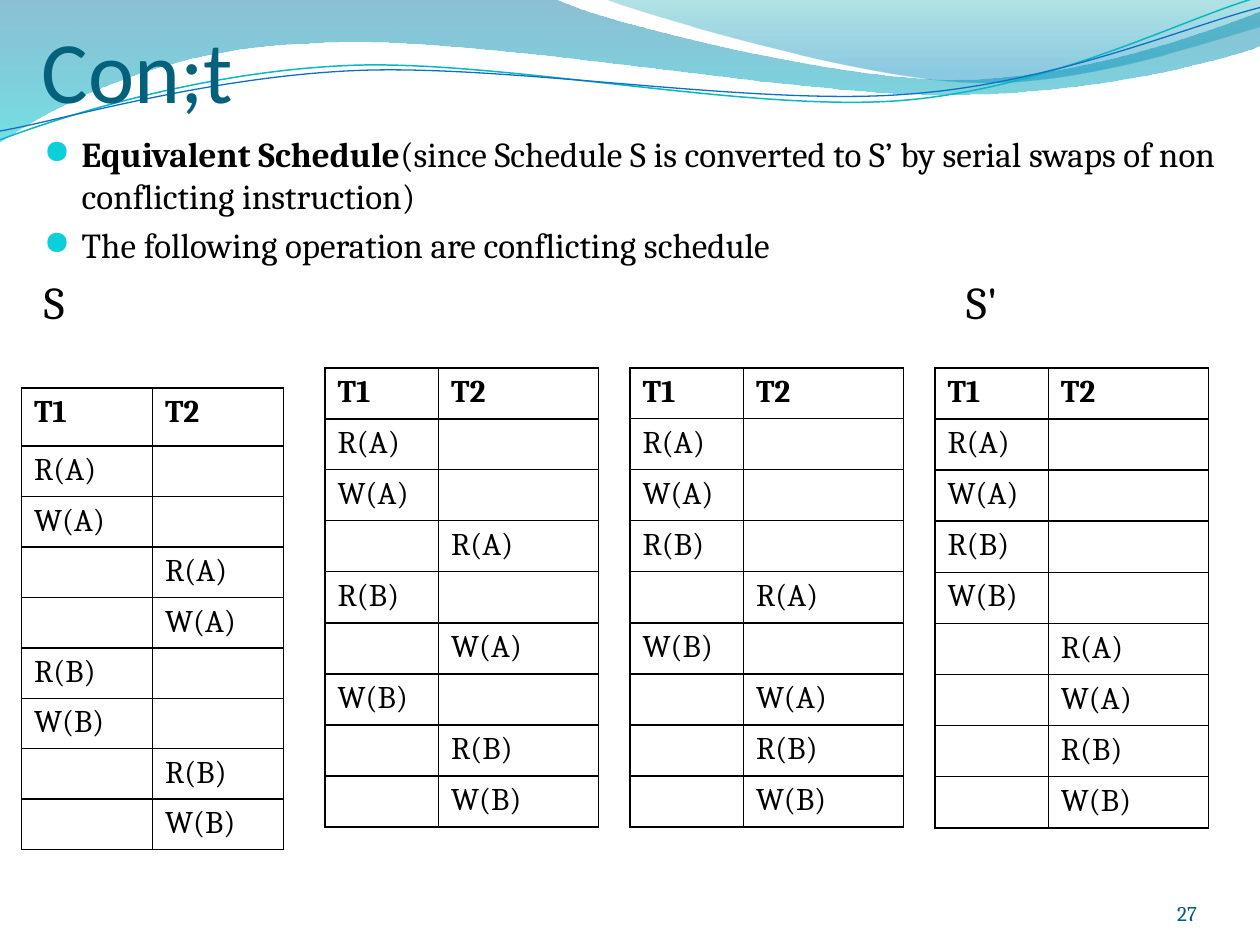
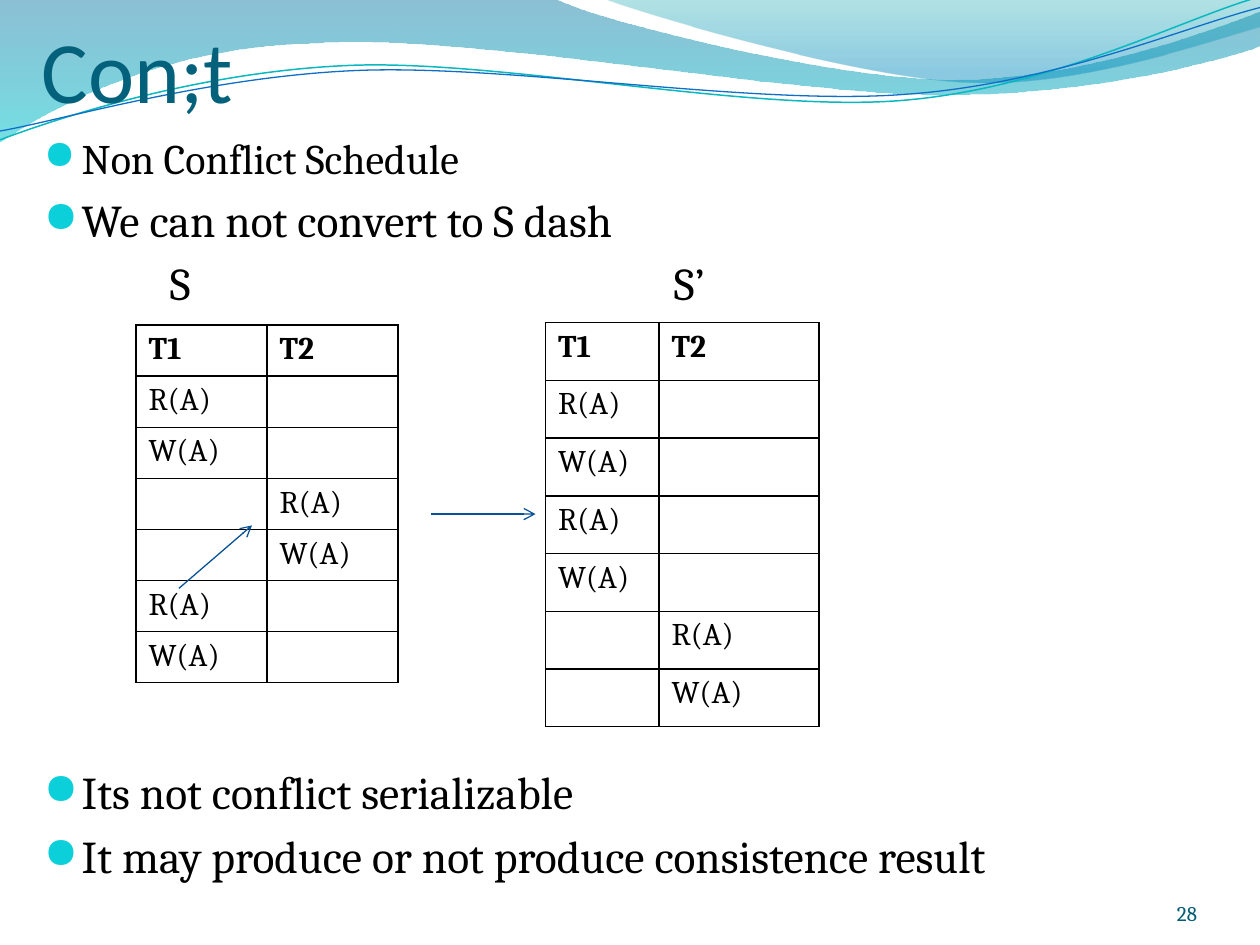
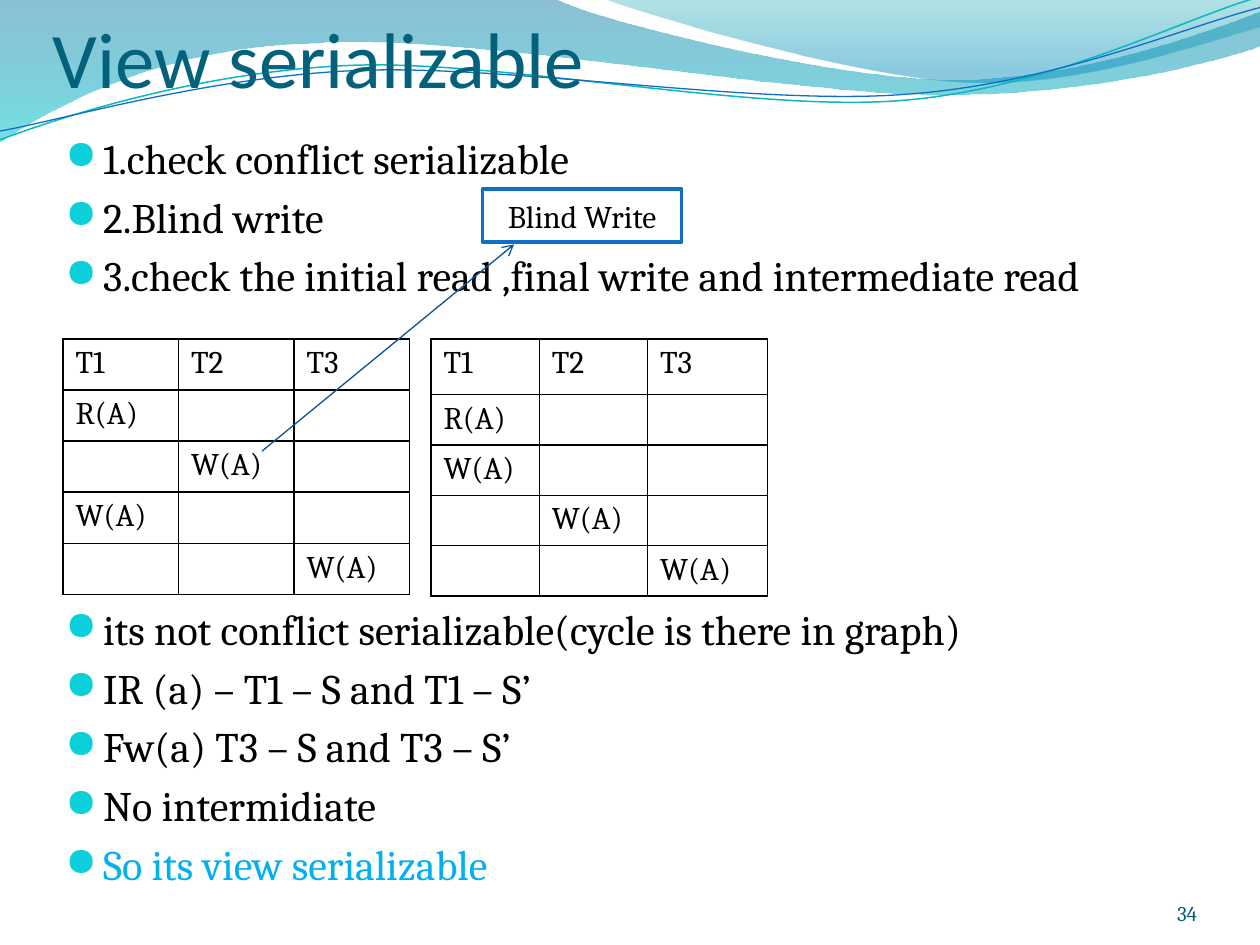
import pptx
import pptx.dml.color
import pptx.enum.shapes
import pptx.enum.text
import pptx.oxml
import pptx.oxml.ns
import pptx.util

Inches = pptx.util.Inches
Pt = pptx.util.Pt
qn = pptx.oxml.ns.qn
ALIGN = pptx.enum.text.PP_ALIGN
ANCHOR = pptx.enum.text.MSO_ANCHOR

# Wave outlines: a start point, then curves (three points) or straight lines (one point)
LEFT_BAND = [[(0, 0)], [(4.4, -0.01)],
             [(4.76, 0.17), (6.64, 0.63), (7.58, 0.63)],
             [(8.53, 0.63), (9.58, 0.26), (10, 0.09)],
             [(10.01, 0.36)],
             [(9.83, 0.44), (8.7, 0.76), (7.46, 0.75)],
             [(6.22, 0.75), (3.82, 0.28), (2.57, 0.34)],
             [(1.29, 0.36), (0.46, 0.83), (-0.01, 1.13)],
             [(0, 0)]]
RIGHT_BAND = [[(4.79, -0.01)],
              [(5.09, 0.11), (6.82, 0.62), (7.69, 0.65)],
              [(8.56, 0.69), (9.61, 0.32), (10, 0.21)],
              [(10, 0)], [(4.79, -0.01)]]
TEAL_WAVE = [[(0, 1.11)],
             [(0.48, 0.93), (1.58, 0.57), (2.77, 0.52)],
             [(3.95, 0.47), (5.93, 0.89), (7.13, 0.8)],
             [(8.33, 0.71), (9.38, 0.15), (9.98, -0.02)]]
BLUE_WAVE = [[(0, 1.04)],
             [(0.47, 0.96), (1.64, 0.61), (2.83, 0.56)],
             [(4.03, 0.51), (5.97, 0.84), (7.17, 0.75)],
             [(8.36, 0.67), (9.41, 0.21), (10, 0.06)]]


def rgb(color):
    return pptx.dml.color.RGBColor.from_string(color)


def add_xml(parent, tag, **attrs):
    child = parent.makeelement(qn(tag), attrs)
    parent.append(child)
    return child


class Deck:
    HEAD_FONT, BODY_FONT, BULLET_FONT = "Calibri", "Cambria", "OpenSymbol"
    TITLE, INK, NUMBER = "04617B", "000000", "045D75"
    BULLET, ACCENT, ARROW = "0BD0D9", "0F6FC6", "095295"

    def __init__(self):
        self.prs = pptx.Presentation()
        self.prs.slide_width = Inches(10)
        self.prs.slide_height = Inches(7.5)
        self.s = None

    def slide(self, title, number, title_at=(0.33, 0.04, 9, 0.92), title_size=50):
        self.s = self.prs.slides.add_slide(self.prs.slide_layouts[6])
        # Waves behind everything
        self.band(LEFT_BAND, (0, "0074A1", 45), (1, "00C6CF", 55))
        self.band(RIGHT_BAND, (0, "00A1A9", 30), (0.8, "008BBF", 45))
        self.wave(TEAL_WAVE, "0AB8BF", 0.85)
        self.wave(BLUE_WAVE, self.ACCENT, 0.75)
        # Title and slide number
        self.label(title, title_at, title_size, self.TITLE, self.HEAD_FONT, top=0.05)
        self.label(str(number), (8.67, 6.95, 0.83, 0.4), 12, self.NUMBER,
                   self.BODY_FONT, ALIGN.RIGHT)

    def outline(self, parts, close):
        points = [(Inches(x), Inches(y)) for part in parts for x, y in part]
        builder = self.s.shapes.build_freeform(*points[0])
        builder.add_line_segments(points[1:], close=close)
        sp = builder.convert_to_shape()
        sp.shadow.inherit = False
        # Join the segments of each three-point part into one curve
        segments = iter(list(sp.element.iter(qn("a:lnTo"))))
        for part in parts[1:]:
            group = [next(segments) for _ in part]
            if len(group) == 3:
                curve = group[0].makeelement(qn("a:cubicBezTo"), {})
                group[0].addprevious(curve)
                for segment in group:
                    curve.append(segment[0])
                    segment.getparent().remove(segment)
        return sp

    def band(self, parts, *stops):
        sp = self.outline(parts, True)
        sp.line.fill.background()
        sp.fill.gradient()
        sp.fill.gradient_angle = 270
        for stop, (position, color, _) in zip(sp.fill.gradient_stops, stops):
            stop.position = position
            stop.color.rgb = rgb(color)
        for clr, (_, _, alpha) in zip(sp.element.iter(qn("a:srgbClr")), stops):
            add_xml(clr, "a:alpha", val=str(alpha * 1000))

    def wave(self, parts, color, width):
        sp = self.outline(parts, False)
        sp.fill.background()
        sp.line.color.rgb = rgb(color)
        sp.line.width = Pt(width)

    def format(self, r, size, color=INK, font=BODY_FONT, bold=False):
        r.font.size = Pt(size)
        r.font.name = font
        r.font.bold = bold
        r.font.color.rgb = rgb(color)

    def text_frame(self, at):
        tf = self.s.shapes.add_textbox(*map(Inches, at)).text_frame
        tf.word_wrap = True
        return tf

    def label(self, text, at, size, color, font, align=ALIGN.LEFT, top=0):
        tf = self.text_frame(at)
        tf.margin_left = tf.margin_right = tf.margin_bottom = 0
        tf.margin_top = Inches(top)
        tf.vertical_anchor = ANCHOR.BOTTOM
        tf.text = text
        p = tf.paragraphs[0]
        p.alignment = align
        self.format(p.runs[0], size, color, font)

    def body(self, at, items):
        """Each item: text, size, and optional lead (bold), color, gap, tabs."""
        tf = self.text_frame(at)
        for i, (text, size, *options) in enumerate(items):
            p = tf.add_paragraph() if i else tf.paragraphs[0]
            self.paragraph(p, text, size, **(options[0] if options else {}))

    def paragraph(self, p, text, size, lead="", color=INK, gap=None, tabs=()):
        p.text = lead or text
        if lead:
            p.add_run().text = text
        for r in p.runs:
            self.format(r, size, color)
        p.runs[0].font.bold = bool(lead)
        p.space_before = Pt(gap or round(size * 0.2, 1))
        pPr = p._p.get_or_add_pPr()
        if tabs:
            tab_list = add_xml(pPr, "a:tabLst")
            for tab in tabs:
                add_xml(tab_list, "a:tab", pos=str(Inches(tab)), algn="l")
            return
        pPr.set("marL", str(Inches(0.3)))
        pPr.set("indent", str(Inches(-0.3)))
        add_xml(add_xml(pPr, "a:buClr"), "a:srgbClr", val=self.BULLET)
        add_xml(pPr, "a:buSzPct", val="95000")
        add_xml(pPr, "a:buFont", typeface=self.BULLET_FONT)
        add_xml(pPr, "a:buChar", char="●")

    def schedule(self, left, top, widths, heights, steps, bold=True):
        """Steps such as "2:W(A)" take one row each; the last height repeats."""
        steps = [step.split(":") for step in steps.split()]
        rows = len(steps) + 1
        heights = list(heights) + [heights[-1]] * (rows - len(heights))
        tbl = self.s.shapes.add_table(
            rows, len(widths), Inches(left), Inches(top),
            Inches(sum(widths)), Inches(sum(heights))).table
        tbl.first_row = tbl.horz_banding = False
        for column, width in zip(tbl.columns, widths):
            column.width = Inches(width)
        for row, height in zip(tbl.rows, heights):
            row.height = Inches(height)
        for cell in tbl.iter_cells():
            self.borders(cell)
        for i in range(len(widths)):
            self.fill_cell(tbl.cell(0, i), f"T{i + 1}", bold)
        for i, (transaction, operation) in enumerate(steps, 1):
            self.fill_cell(tbl.cell(i, int(transaction) - 1), operation)

    def fill_cell(self, cell, text, bold=False):
        cell.text = text
        self.format(cell.text_frame.paragraphs[0].runs[0], 18, bold=bold)

    def borders(self, cell):
        tcPr = cell._tc.get_or_add_tcPr()
        for side in ("a:lnL", "a:lnR", "a:lnT", "a:lnB"):
            ln = add_xml(tcPr, side, w=str(Pt(1)))
            add_xml(add_xml(ln, "a:solidFill"), "a:srgbClr", val=self.INK)
        cell.fill.background()

    def arrow(self, x1, y1, x2, y2):
        line = self.s.shapes.add_connector(
            pptx.enum.shapes.MSO_CONNECTOR.STRAIGHT, *map(Inches, (x1, y1, x2, y2)))
        line.line.color.rgb = rgb(self.ARROW)
        line.line.width = Pt(0.75)
        add_xml(line.line._get_or_add_ln(), "a:tailEnd", type="arrow")
        add_xml(line.element.spPr, "a:effectLst")

    def box(self, text, at):
        sp = self.s.shapes.add_shape(
            pptx.enum.shapes.MSO_SHAPE.RECTANGLE, *map(Inches, at))
        sp.shadow.inherit = False
        sp.fill.solid()
        sp.fill.fore_color.rgb = rgb("FFFFFF")
        sp.line.color.rgb = rgb(self.ACCENT)
        sp.line.width = Pt(2)
        tf = sp.text_frame
        tf.text = text
        tf.vertical_anchor = ANCHOR.MIDDLE
        p = tf.paragraphs[0]
        p.alignment = ALIGN.CENTER
        self.format(p.runs[0], 18)


def main():
    deck = Deck()
    even, uneven = (1.04, 1.04), (0.9, 1.27)
    row = 3.65 / 9
    body_at = (0.25, 1, 9.75, 5.83)

    # Equivalent schedules: S turned into S' by swaps
    deck.slide("Con;t", 27)
    deck.body(body_at, [
        ("(since Schedule S is converted to S’ by serial swaps of non "
         "conflicting instruction)", 20, {"lead": "Equivalent Schedule"}),
        ("The following operation are conflicting schedule", 20),
        ("S\tS'", 26, {"tabs": [7.32]}),
    ])
    deck.schedule(0.17, 3.08, even, (0.46, 0.38),
                  "1:R(A) 1:W(A) 2:R(A) 2:W(A) 1:R(B) 1:W(B) 2:R(B) 2:W(B)")
    swaps = [
        ((row, 0.34, row), "1:R(A) 1:W(A) 2:R(A) 1:R(B) 2:W(A) 1:W(B) 2:R(B) 2:W(B)"),
        ((0.24, row), "1:R(A) 1:W(A) 1:R(B) 2:R(A) 1:W(B) 2:W(A) 2:R(B) 2:W(B)"),
        ((row,), "1:R(A) 1:W(A) 1:R(B) 1:W(B) 2:R(A) 2:W(A) 2:R(B) 2:W(B)"),
    ]
    for i, (heights, steps) in enumerate(swaps):
        deck.schedule(2.58 + 2.42 * i, 2.92, uneven, heights, steps)

    # A schedule that cannot be converted
    deck.slide("Con;t", 28)
    deck.body(body_at, [
        ("Non Conflict Schedule", 24),
        ("We can not convert to S dash", 26),
        ("\tS\tS’", 26, {"tabs": [1, 5]}),
        ("Its not conflict serializable", 26, {"gap": 259.5}),
        ("It may produce or not produce consistence result", 26),
    ])
    deck.schedule(1.08, 2.58, even, (row,),
                  "1:R(A) 1:W(A) 2:R(A) 2:W(A) 1:R(A) 1:W(A)")
    deck.schedule(4.33, 2.56, uneven, (3.21 / 7,),
                  "1:R(A) 1:W(A) 1:R(A) 1:W(A) 2:R(A) 2:W(A)")
    deck.arrow(1.42, 4.67, 2, 4.17)
    deck.arrow(3.42, 4.08, 4.25, 4.08)

    # View serializability with a blind write
    deck.slide("View serializable", 34, (0.42, 0.17, 9, 0.66), 45)
    size = 24.05
    deck.body((0.42, 1, 9.25, 6.33), [
        ("1.check conflict serializable", size),
        ("2.Blind write", size),
        ("3.check the initial read ,final write and intermediate read", size),
        ("its not conflict serializable(cycle is there in graph)", size, {"gap": 173}),
        ("IR (a) – T1 – S and T1 – S’", size),
        ("Fw(a) T3 – S and T3 – S’", size),
        ("No intermidiate", size),
        ("So its view serializable", size, {"color": "00B0F0"}),
    ])
    deck.schedule(0.5, 2.69, (2.75 / 3,) * 3, (row,),
                  "1:R(A) 2:W(A) 1:W(A) 3:W(A)", bold=False)
    deck.schedule(3.42, 2.69, (0.86, 0.86, 0.95), (0.44, 0.37),
                  "1:R(A) 1:W(A) 2:W(A) 3:W(A)", bold=False)
    deck.arrow(2.08, 3.58, 4.08, 1.94)
    deck.box("Blind Write", (3.83, 1.5, 1.58, 0.42))

    deck.prs.save("out.pptx")


if __name__ == "__main__":
    main()
